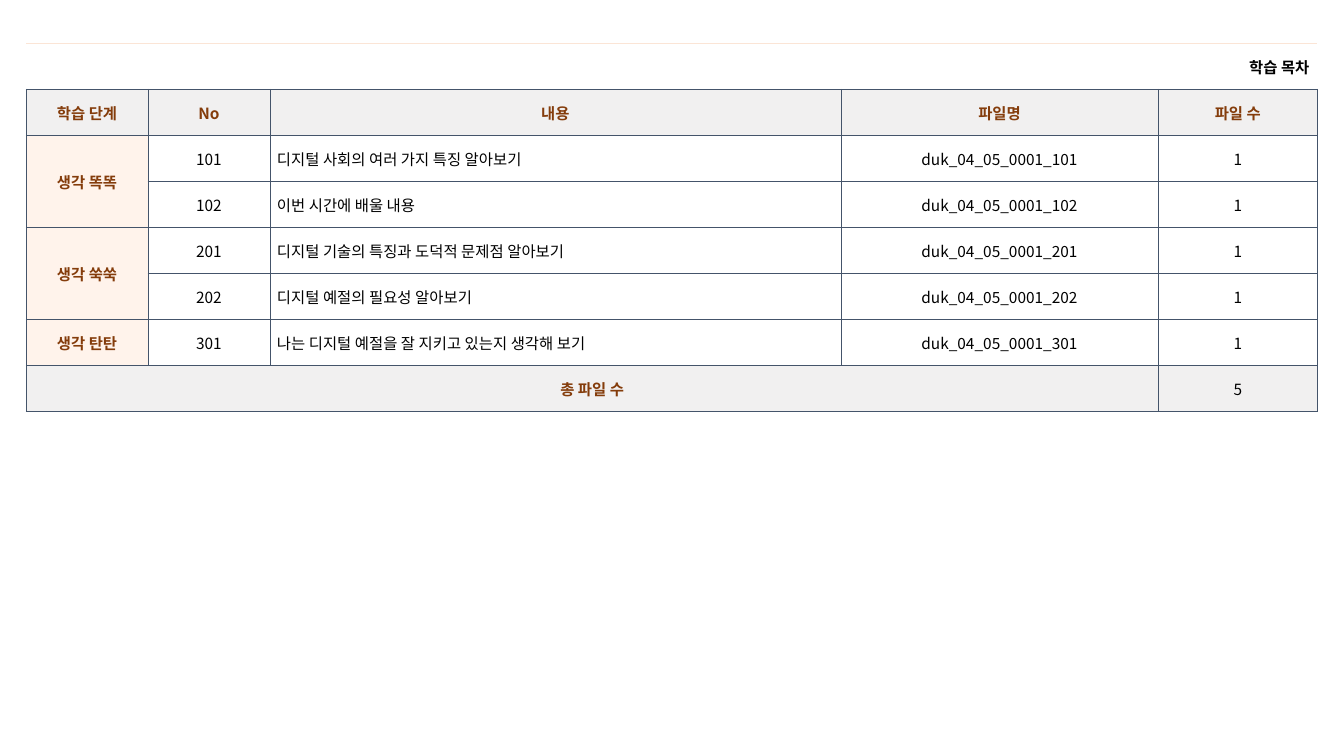
from dataclasses import dataclass

from lxml import etree
from pptx import Presentation
from pptx.dml.color import RGBColor
from pptx.enum.text import MSO_ANCHOR, PP_ALIGN
from pptx.oxml.ns import qn
from pptx.util import Cm, Pt

LEFT, CENTER, RIGHT = PP_ALIGN.LEFT, PP_ALIGN.CENTER, PP_ALIGN.RIGHT
MIDDLE = MSO_ANCHOR.MIDDLE

TITLE = "학습 목차"
HEADS = ["학습 단계", "No", "내용", "파일명", "파일 수"]
STEPS = {
    "생각 똑똑": [("101", "디지털 사회의 여러 가지 특징 알아보기"),
              ("102", "이번 시간에 배울 내용")],
    "생각 쑥쑥": [("201", "디지털 기술의 특징과 도덕적 문제점 알아보기"),
              ("202", "디지털 예절의 필요성 알아보기")],
    "생각 탄탄": [("301", "나는 디지털 예절을 잘 지키고 있는지 생각해 보기")],
}
TOTAL = "총 파일 수"
WIDTHS = [3.07, 3.07, 14.39, 8, 4.01]
HEIGHT = 1.16


@dataclass(frozen=True)
class Theme:
    """Hold the colours, font and sizes of the slide."""
    font: str = "Noto Sans CJK KR"
    size: float = 11
    text: str = "000000"
    accent: str = "843C0B"
    head: str = "F1F0F0"
    step: str = "FFF3EB"
    plain: str = "FFFFFF"
    grid: tuple = ("44546A", 0.5)
    rule: tuple = ("FBE5D6", 0.25)


class Deck:
    """Build table parts on one slide in one style."""

    def __init__(self, theme):
        """Open a deck with one blank slide."""
        self.theme = theme
        self.file = Presentation()
        self.file.slide_width, self.file.slide_height = Cm(33.87), Cm(19.05)
        self.slide = self.file.slides.add_slide(self.file.slide_layouts[6])

    def table(self, left, top, widths, height, count):
        """Add a plain table with rows of equal height."""
        frame = self.slide.shapes.add_table(
            count, len(widths), Cm(left), Cm(top), Cm(sum(widths)), Cm(height * count))
        grid = frame.table
        grid.first_row = grid.horz_banding = False
        for column, width in zip(grid.columns, widths):
            column.width = Cm(width)
        for row in grid.rows:
            row.height = Cm(height)
        return grid

    def edge(self, cell, side, line):
        """Draw one side of a cell, or clear it if line is None."""
        props = cell._tc.get_or_add_tcPr()
        edge = etree.SubElement(props, qn(f"a:ln{side}"))
        if line is None:
            etree.SubElement(edge, qn("a:noFill"))
            return
        color, width = line
        edge.set("w", str(Pt(width)))
        fill = etree.SubElement(edge, qn("a:solidFill"))
        etree.SubElement(fill, qn("a:srgbClr")).set("val", color)

    def cell(self, cell, text, fill, align=CENTER, color=None, bold=False,
             inset=0.18, sides=True, top=None):
        """Fill one cell with styled text and borders."""
        theme = self.theme
        side = theme.grid if sides else None
        for name, line in zip("LRTB", (side, side, top or theme.grid, theme.grid)):
            self.edge(cell, name, line)
        if fill:
            cell.fill.solid()
            cell.fill.fore_color.rgb = RGBColor.from_string(fill)
        else:
            cell.fill.background()
        cell.vertical_anchor = MIDDLE
        cell.margin_left = cell.margin_right = Cm(inset)
        cell.margin_top = cell.margin_bottom = Cm(0.13)
        cell.text_frame.text = text
        para = cell.text_frame.paragraphs[0]
        para.alignment = align
        for run in para.runs:
            font = run.font
            font.name, font.size, font.bold = theme.font, Pt(theme.size), bold
            font.color.rgb = RGBColor.from_string(color or theme.text)
            east = etree.SubElement(run._r.get_or_add_rPr(), qn("a:ea"))
            east.set("typeface", theme.font)

    def save(self):
        """Write the deck to disk."""
        self.file.save("out.pptx")


def main():
    """Lay out the lesson contents table."""
    theme = Theme()
    deck = Deck(theme)
    count = sum(len(items) for items in STEPS.values())
    last = count + 2
    grid = deck.table(0.66, 1.09, WIDTHS, HEIGHT, count + 3)
    strong = {"color": theme.accent, "bold": True}

    for col, head in enumerate(HEADS):
        deck.cell(grid.cell(0, col), "" if col else TITLE, None, RIGHT, bold=True,
                  inset=0.2, sides=False, top=theme.rule)
        deck.cell(grid.cell(1, col), head, theme.head, **strong)

    row = 2
    for step, items in STEPS.items():
        first = row
        for number, topic in items:
            deck.cell(grid.cell(row, 0), step if row == first else "", theme.step, **strong)
            values = [number, topic, f"duk_04_05_0001_{number}", "1"]
            for col, value in enumerate(values, 1):
                deck.cell(grid.cell(row, col), value, theme.plain,
                          LEFT if col == 2 else CENTER)
            row += 1
        if len(items) > 1:
            grid.cell(first, 0).merge(grid.cell(row - 1, 0))

    for col in range(4):
        deck.cell(grid.cell(last, col), "" if col else TOTAL, theme.head, **strong)
    deck.cell(grid.cell(last, 4), str(count), theme.head)
    grid.cell(0, 0).merge(grid.cell(0, 4))
    grid.cell(last, 0).merge(grid.cell(last, 3))
    deck.save()


if __name__ == "__main__":
    main()
